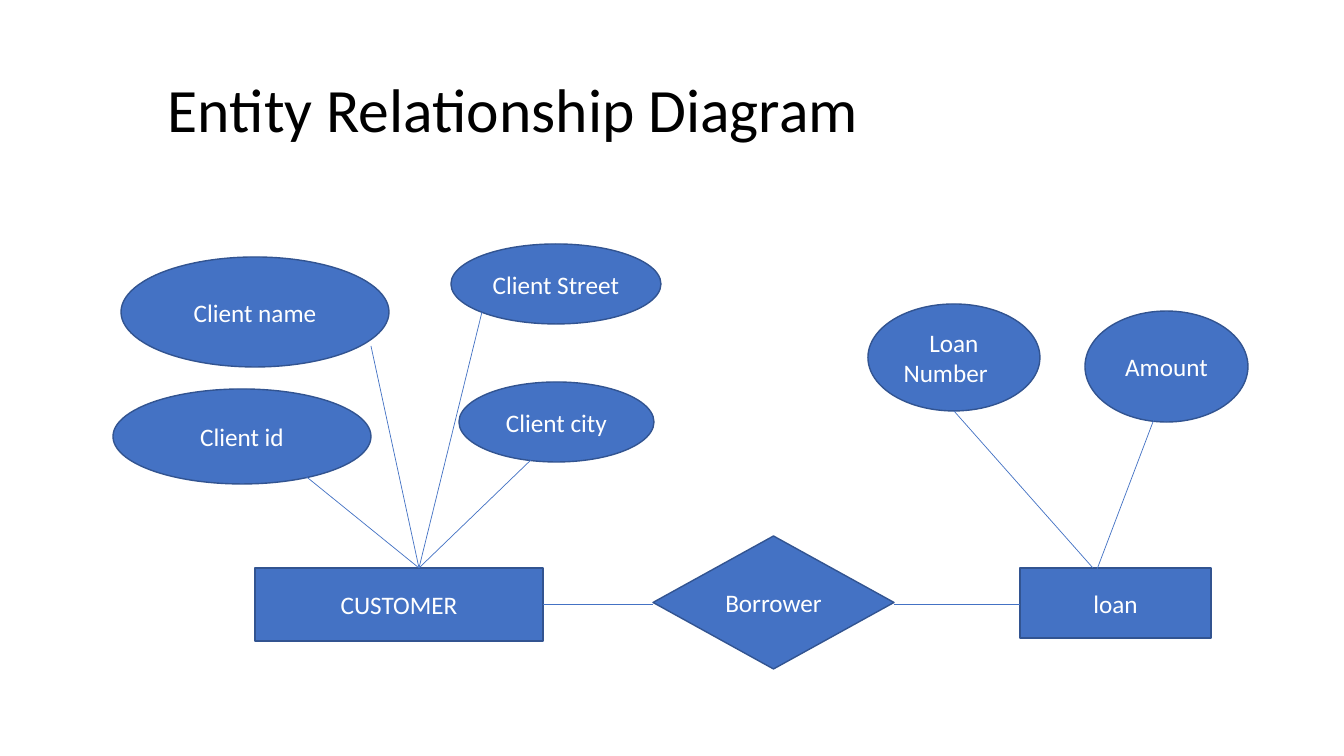
from lxml.etree import SubElement
from pptx import Presentation
from pptx.dml.color import RGBColor
from pptx.enum.shapes import MSO_CONNECTOR as Connector, MSO_SHAPE as Shape
from pptx.enum.text import MSO_ANCHOR as Anchor, PP_ALIGN as Align
from pptx.oxml.ns import qn
from pptx.util import Pt

SCALE = 914400 / 100.8
BLUE = RGBColor(0x44, 0x72, 0xC4)
OUTLINE = RGBColor(0x32, 0x54, 0x91)
WHITE = RGBColor(0xFF, 0xFF, 0xFF)
BLACK = RGBColor(0, 0, 0)


def emu(*pixels):
    return [round(value * SCALE) for value in pixels]


def write(frame, text, size=18, color=WHITE, align=Align.CENTER, spacing=1.0):
    frame.word_wrap = True
    frame.vertical_anchor = Anchor.MIDDLE
    para = frame.paragraphs[0]
    para.alignment = align
    para.line_spacing = spacing
    span = para.add_run()
    span.text = text
    span.font.name = "Calibri"
    span.font.size = Pt(size)
    span.font.color.rgb = color


class Diagram:
    fill = BLUE
    outline = OUTLINE

    def __init__(self, page):
        self.page = page

    def title(self, text, *bounds):
        box = self.page.shapes.add_textbox(*emu(*bounds))
        write(box.text_frame, text, size=44, color=BLACK, align=Align.LEFT, spacing=0.9)

    def node(self, kind, text, *bounds):
        shape = self.page.shapes.add_shape(kind, *emu(*bounds))
        shape.shadow.inherit = False
        shape.fill.solid()
        shape.fill.fore_color.rgb = self.fill
        shape.line.color.rgb = self.outline
        shape.line.width = Pt(1)
        write(shape.text_frame, text)

    def link(self, start, end):
        line = self.page.shapes.add_connector(Connector.STRAIGHT, *emu(*start, *end))
        line.line.color.rgb = self.fill
        line.line.width = Pt(0.5)
        SubElement(line._element.spPr, qn("a:effectLst"))


deck = Presentation()
deck.slide_width, deck.slide_height = emu(1344, 756)
diagram = Diagram(deck.slides.add_slide(deck.slide_layouts[6]))

diagram.title("Entity Relationship Diagram", 158, 40, 1094, 146)

attributes = [
    ("Client name", 121, 257, 268, 110),
    ("Client id", 113, 389, 258, 95),
    ("Client Street", 451, 244, 210, 80),
    ("Client city", 459, 382, 195, 80),
    ("Loan Number\t", 868, 304, 172, 107),
    ("Amount", 1085, 311, 163, 111),
]
for attribute in attributes:
    diagram.node(Shape.OVAL, *attribute)

diagram.node(Shape.RECTANGLE, "CUSTOMER", 255, 568, 288, 73)
diagram.node(Shape.DIAMOND, "Borrower", 653, 536, 241, 133)
diagram.node(Shape.RECTANGLE, "loan", 1020, 568, 191, 70)

customer_top = (419, 568)
for attribute_edge in [(371, 346), (303, 474), (482, 312), (533, 458)]:
    diagram.link(customer_top, attribute_edge)

diagram.link((954, 411), (1093, 568))
diagram.link((1093, 580), (1156, 414))

for left, right in [(543, 653), (894, 1020)]:
    diagram.link((left, 604), (right, 604))

deck.save("out.pptx")
